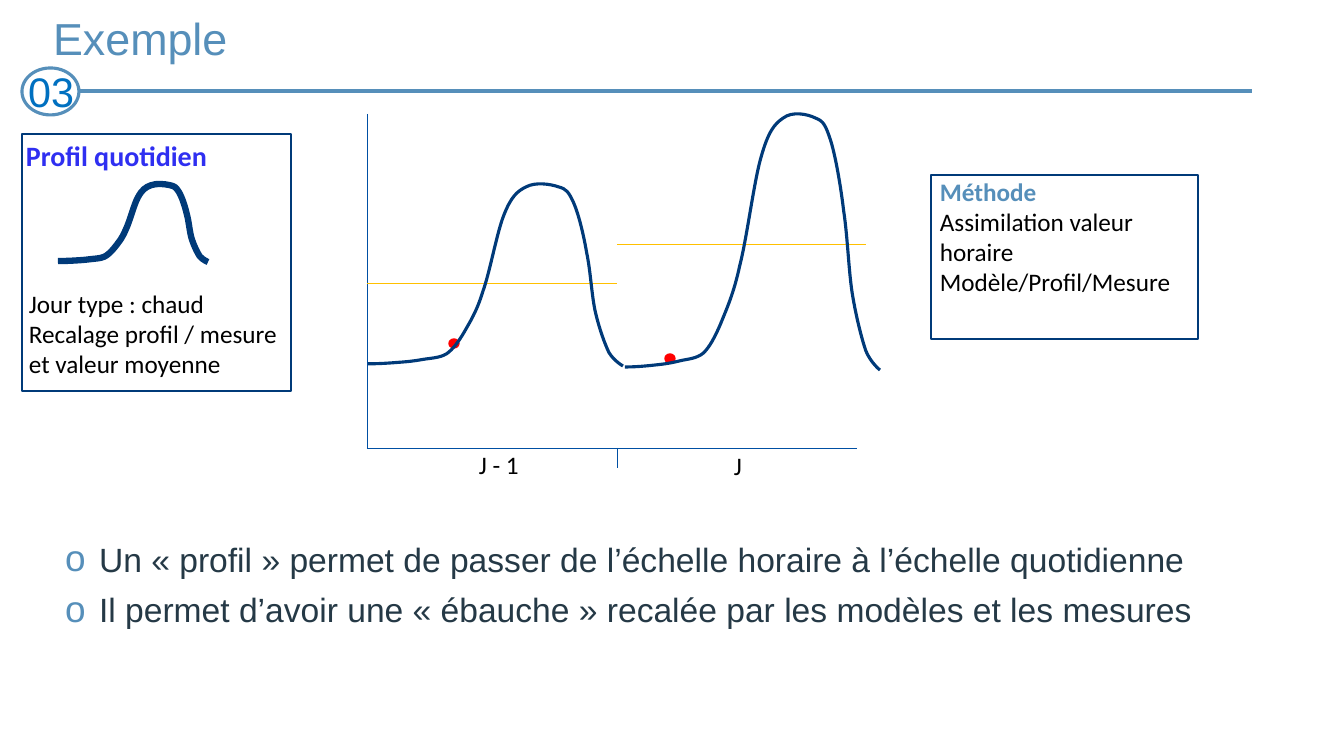
"""Build the slide that explains how a daily profile is fitted to hourly values."""
from lxml.etree import SubElement
from pptx import Presentation
from pptx.dml.color import RGBColor
from pptx.enum.shapes import MSO_CONNECTOR, MSO_SHAPE
from pptx.enum.text import MSO_ANCHOR, MSO_AUTO_SIZE, PP_ALIGN
from pptx.oxml.ns import qn
from pptx.util import Pt

STEEL = RGBColor(0x56, 0x8F, 0xBA)
NAVY = RGBColor(0x00, 0x3A, 0x79)
AXIS_BLUE = RGBColor(0x00, 0x4F, 0xA3)
NUMBER_BLUE = RGBColor(0x00, 0x70, 0xC0)
VIOLET = RGBColor(0x2F, 0x2F, 0xF1)
SLATE = RGBColor(0x25, 0x39, 0x46)
AMBER = RGBColor(0xFF, 0xC0, 0x00)
RED = RGBColor(0xFF, 0x00, 0x00)
BLACK = RGBColor(0x00, 0x00, 0x00)

SLIDE_WIDTH, SLIDE_HEIGHT = 1344, 756
EMU_PER_PX = 12192000 / SLIDE_WIDTH

TITLE = [("Exemple", STEEL, False)]
NUMBER = [("03", NUMBER_BLUE, False)]
CONCLUSIONS = [
    ("Un « profil » permet de passer de l’échelle horaire à l’échelle quotidienne", SLATE, False),
    ("Il permet d’avoir une « ébauche » recalée par les modèles et les mesures", SLATE, False),
]
NOTES = [
    ((16, 134, 214, 44), 20, True, [("Profil quotidien", VIOLET, True)]),
    ((19, 283, 272, 102), 18, True, [
        ("Jour type : chaud", BLACK, False),
        ("Recalage profil / mesure et valeur moyenne", BLACK, False),
    ]),
    ((930, 171, 280, 132), 18, True, [
        ("Méthode", STEEL, True),
        ("Assimilation valeur horaire", BLACK, False),
        ("Modèle/Profil/Mesure", BLACK, False),
    ]),
    ((469, 444, 60, 40), 18, False, [("J - 1", BLACK, False)]),
    ((724, 445, 34, 40), 18, False, [("J", BLACK, False)]),
]

AXIS_LEFT, AXIS_BOTTOM, DAY_BREAK, DAY_END = 367, 448, 617, 866
RULES = [
    ((80, 91), (1252, 91), STEEL, 2.25),
    ((AXIS_LEFT, 114), (AXIS_LEFT, AXIS_BOTTOM), AXIS_BLUE, 0.5),
    ((AXIS_LEFT, AXIS_BOTTOM), (857, AXIS_BOTTOM), AXIS_BLUE, 0.5),
    ((DAY_BREAK, AXIS_BOTTOM), (DAY_BREAK, 468), AXIS_BLUE, 0.5),
    ((AXIS_LEFT, 283), (DAY_BREAK, 283), AMBER, 0.5),
    ((DAY_BREAK, 244), (DAY_END, 244), AMBER, 0.5),
]
OUTLINES = [
    (MSO_SHAPE.OVAL, (22, 68, 57, 47), None, STEEL, 2.25),
    (MSO_SHAPE.RECTANGLE, (22, 134, 269, 257), None, NAVY, 1),
    (MSO_SHAPE.RECTANGLE, (931, 175, 267, 164), None, NAVY, 1),
    (MSO_SHAPE.OVAL, (449, 339, 10, 9), RED, RED, 1),
    (MSO_SHAPE.OVAL, (665, 354, 10, 9), RED, RED, 1),
]

PROFILE_WIDTH, PROFILE_HEIGHT = 253, 254
PROFILE_START = (0, 251)
PROFILE_BENDS = [
    ((11, 251), (21, 250), (30, 249)),
    ((40, 248), (46, 247), (54, 245)),
    ((62, 243), (71, 243), (78, 237)),
    ((84, 231), (89, 222), (95, 208)),
    ((101, 193), (108, 178), (114, 150)),
    ((121, 123), (128, 67), (135, 43)),
    ((142, 18), (148, 10), (157, 4)),
    ((166, -3), (181, 0), (189, 4)),
    ((197, 7), (199, 11), (204, 26)),
    ((209, 42), (214, 71), (217, 96)),
    ((221, 122), (222, 158), (226, 181)),
    ((230, 204), (235, 223), (239, 235)),
    ((244, 247), (253, 254), (253, 254)),
]
CURVES = [((368, 184, 255, 182), 2.25), ((625, 114, 255, 256), 2.25), ((58, 184, 150, 78), 4.5)]


def px(length):
    """Turn pixels into EMU."""
    return round(length * EMU_PER_PX)


def apply(target, values):
    """Set each named attribute on the target."""
    for name, value in values.items():
        setattr(target, name, value)


def place(placeholder, box):
    """Move and size a placeholder."""
    apply(placeholder, dict(zip(("left", "top", "width", "height"), map(px, box))))


def write(frame, lines, font_name, size, frame_format, paragraph_format):
    """Fill a text frame with one paragraph for each line."""
    apply(frame, frame_format)
    for index, (text, colour, bold) in enumerate(lines):
        paragraph = frame.add_paragraph() if index else frame.paragraphs[0]
        apply(paragraph, {"alignment": PP_ALIGN.LEFT, **paragraph_format})
        run = paragraph.add_run()
        run.text = text
        apply(run.font, {"name": font_name, "size": Pt(size), "bold": bold})
        run.font.color.rgb = colour


def set_bullet(paragraph, hanging, mark):
    """Set the indent and the bullet mark, or no bullet."""
    properties = paragraph._p.get_or_add_pPr()
    properties.set("marL", str(px(hanging)))
    properties.set("indent", str(-px(hanging)))
    if not mark:
        SubElement(properties, qn("a:buNone"))
        return
    colour = SubElement(properties, qn("a:buClr"))
    SubElement(colour, qn("a:srgbClr"), val=str(STEEL))
    SubElement(properties, qn("a:buSzPct"), val="110000")
    SubElement(properties, qn("a:buFont"), typeface="Arial")
    SubElement(properties, qn("a:buChar"), char=mark)


def stroke(line, colour, width):
    """Set line colour and width."""
    line.color.rgb = colour
    line.width = Pt(width)


def draw_profile(shapes, box, width):
    """Draw the daily profile as Bézier bends stretched to a box."""
    left, top, across, down = map(px, box)

    def stretch(point):
        """Scale a profile point to the box."""
        return round(point[0] / PROFILE_WIDTH * across), round(point[1] / PROFILE_HEIGHT * down)

    begin_x, begin_y = stretch(PROFILE_START)
    builder = shapes.build_freeform(left + begin_x, top + begin_y)
    builder.add_line_segments([(left, top), (left + across, top + down)], close=False)
    curve = builder.convert_to_shape()
    outline = next(curve._element.iter(qn("a:moveTo"))).getparent()
    for segment in outline.findall(qn("a:lnTo")):
        outline.remove(segment)
    for bend in PROFILE_BENDS:
        segment = SubElement(outline, qn("a:cubicBezTo"))
        for x, y in map(stretch, bend):
            SubElement(segment, qn("a:pt"), x=str(x), y=str(y))
    curve.shadow.inherit = False
    curve.fill.background()
    stroke(curve.line, NAVY, width)


def main():
    """Lay out the slide and save it."""
    deck = Presentation()
    apply(deck, {"slide_width": px(SLIDE_WIDTH), "slide_height": px(SLIDE_HEIGHT)})
    slide = deck.slides.add_slide(deck.slide_layouts[3])
    shapes = slide.shapes
    title, number, conclusions = slide.placeholders
    fixed = {"auto_size": MSO_AUTO_SIZE.NONE, "word_wrap": True}
    top_text = {**fixed, "vertical_anchor": MSO_ANCHOR.TOP}
    spaced = {"line_spacing": 0.9, "space_before": Pt(10)}

    place(title, (43, 5, 1241, 71))
    write(title.text_frame, TITLE, "Arial", 32,
          {**fixed, "vertical_anchor": MSO_ANCHOR.MIDDLE}, {"line_spacing": 0.9})
    for body, box, lines, size, hanging, mark in (
        (number, (18, 67, 93, 47), NUMBER, 29.5, 0, None),
        (conclusions, (55, 538, 1241, 119), CONCLUSIONS, 24, 34, "o"),
    ):
        place(body, box)
        write(body.text_frame, lines, "Arial", size, top_text, spaced)
        for paragraph in body.text_frame.paragraphs:
            set_bullet(paragraph, hanging, mark)

    for kind, box, fill, colour, width in OUTLINES:
        outline = shapes.add_shape(kind, *map(px, box))
        outline.shadow.inherit = False
        if fill is None:
            outline.fill.background()
        else:
            outline.fill.solid()
            outline.fill.fore_color.rgb = fill
        stroke(outline.line, colour, width)
    for begin, end, colour, width in RULES:
        rule = shapes.add_connector(MSO_CONNECTOR.STRAIGHT, *map(px, begin + end))
        stroke(rule.line, colour, width)
        SubElement(rule._element.spPr, qn("a:effectLst"))
    for box, width in CURVES:
        draw_profile(shapes, box, width)
    for box, size, wraps, lines in NOTES:
        note = shapes.add_textbox(*map(px, box))
        note_format = {"auto_size": MSO_AUTO_SIZE.SHAPE_TO_FIT_TEXT, "word_wrap": wraps}
        write(note.text_frame, lines, "Calibri", size, note_format, {})

    deck.save("out.pptx")


if __name__ == "__main__":
    main()
